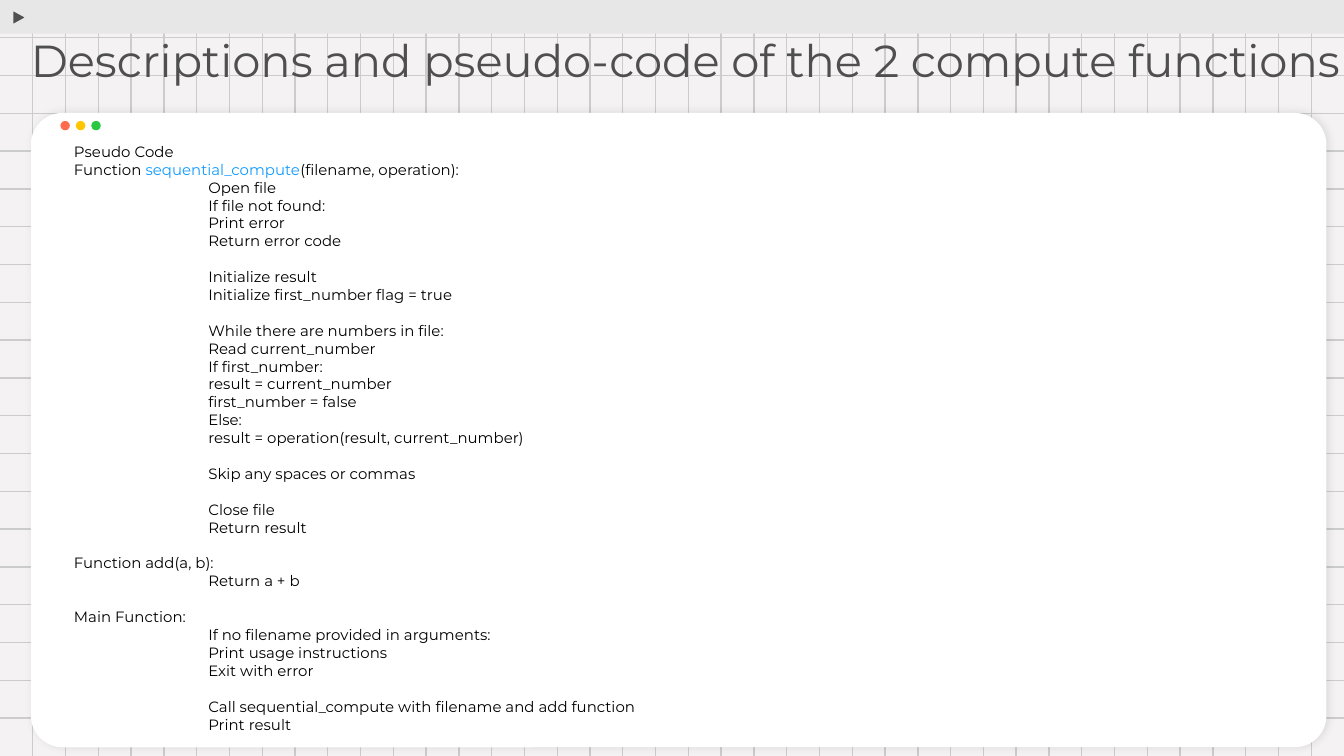
from dataclasses import dataclass

from lxml.etree import SubElement
from pptx import Presentation
from pptx.dml.color import RGBColor
from pptx.enum.shapes import MSO_CONNECTOR as Connector, MSO_SHAPE as Shape
from pptx.enum.text import MSO_ANCHOR as Anchor, MSO_AUTO_SIZE as AutoSize, PP_ALIGN as Align
from pptx.oxml.ns import qn
from pptx.util import Inches, Pt

PAPER = RGBColor(0xF4, 0xF2, 0xF2)
GRID = RGBColor(0xCC, 0xCC, 0xCC)
BAR = RGBColor(0xE7, 0xE7, 0xE7)
GRAPHITE = RGBColor(0x4F, 0x4F, 0x4F)
WHITE = RGBColor(0xFF, 0xFF, 0xFF)
BLACK = RGBColor(0x00, 0x00, 0x00)
BLUE = RGBColor(0x11, 0x9B, 0xFE)
RED = RGBColor(0xFF, 0x6B, 0x4D)
YELLOW = RGBColor(0xFF, 0xC6, 0x00)
GREEN = RGBColor(0x28, 0xC8, 0x40)

FONT = "Montserrat"
WIDTH = 10
HEIGHT = WIDTH * 9 / 16
ROWS, COLUMNS = 19, 40
ROW_STEP, COLUMN_STEP = HEIGHT / (ROWS + 1), WIDTH / (COLUMNS + 1)
TITLE = "Descriptions and pseudo-code of the 2 compute functions"
HIGHLIGHT = "sequential_compute"


@dataclass(frozen=True)
class Box:
    left: float
    top: float
    width: float
    height: float

    def lengths(self) -> tuple:
        return tuple(Inches(v) for v in (self.left, self.top, self.width, self.height))


@dataclass(frozen=True)
class Routine:
    heading: str
    steps: tuple[tuple[str, ...], ...] = ()
    gap: bool = True


ROUTINES = (
    Routine("Pseudo Code", gap=False),
    Routine("Function sequential_compute(filename, operation):", (
        ("Open file", "If file not found:", "Print error", "Return error code"),
        ("Initialize result", "Initialize first_number flag = true"),
        ("While there are numbers in file:", "Read current_number",
         "If first_number:", "result = current_number", "first_number = false",
         "Else:", "result = operation(result, current_number)"),
        ("Skip any spaces or commas",),
        ("Close file", "Return result"),
    ), gap=False),
    Routine("Function add(a, b):", (("Return a + b",),)),
    Routine("Main Function:", (
        ("If no filename provided in arguments:", "Print usage instructions",
         "Exit with error"),
        ("Call sequential_compute with filename and add function", "Print result"),
    )),
)


def draw_line(slide, x1: float, y1: float, x2: float, y2: float) -> None:
    line = slide.shapes.add_connector(
        Connector.STRAIGHT, Inches(x1), Inches(y1), Inches(x2), Inches(y2))
    line.line.color.rgb = GRID
    line.line.width = Pt(0.75)
    SubElement(line.element.spPr, qn("a:effectLst"))


def draw_shape(slide, kind: Shape, box: Box, color: RGBColor):
    shape = slide.shapes.add_shape(kind, *box.lengths())
    shape.fill.solid()
    shape.fill.fore_color.rgb = color
    shape.line.fill.background()
    shape.shadow.inherit = False
    return shape


def draw_card(slide) -> None:
    card = draw_shape(slide, Shape.ROUNDED_RECTANGLE, Box(0.23, 0.84, 9.64, 4.72), WHITE)
    card.adjustments[0] = 0.05
    effects = card.element.spPr.find(qn("a:effectLst"))
    shadow = SubElement(effects, qn("a:outerShdw"), blurRad=str(Pt(4.5)),
                        dist=str(Pt(1.5)), dir="0", algn="ctr", rotWithShape="0")
    tint = SubElement(shadow, qn("a:srgbClr"), val=str(BLACK))
    SubElement(tint, qn("a:alpha"), val="10000")


def place_text(placeholder, box: Box):
    placeholder.left, placeholder.top, placeholder.width, placeholder.height = box.lengths()
    placeholder.element.getparent().append(placeholder.element)
    frame = placeholder.text_frame
    frame.word_wrap = True
    frame.auto_size = AutoSize.NONE
    frame.vertical_anchor = Anchor.TOP
    frame.margin_left = frame.margin_right = Inches(0.1)
    frame.margin_top = frame.margin_bottom = Inches(0.1)
    return frame


def format_paragraph(paragraph, size: float, color: RGBColor, spacing: float) -> None:
    paragraph.alignment = Align.LEFT
    paragraph.line_spacing = spacing
    paragraph.space_before = paragraph.space_after = Pt(0)
    for run in paragraph.runs:
        run.font.name = FONT
        run.font.size = Pt(size)
        run.font.color.rgb = color


def write_code_line(paragraph, text: str, indented: bool, gap: bool) -> None:
    before, name, after = text.partition(HIGHLIGHT)
    highlighted = bool(name) and not indented
    for part in (before, name, after) if highlighted else (text,):
        paragraph.add_run().text = part
    format_paragraph(paragraph, 8, BLACK, 1.0)
    if highlighted:
        paragraph.runs[1].font.color.rgb = BLUE
    if gap:
        paragraph.space_before = Pt(9.6)
    properties = paragraph._p.get_or_add_pPr()
    properties.set("marL", str(Inches(1 if indented else 0)))
    properties.set("indent", "0")
    SubElement(properties, qn("a:buNone"))


def write_code(frame) -> None:
    lines = []
    for routine in ROUTINES:
        lines.append((routine.heading, False, routine.gap))
        for group_index, group in enumerate(routine.steps):
            for step_index, step in enumerate(group):
                lines.append((step, True, group_index > 0 and step_index == 0))
    for index, line in enumerate(lines):
        paragraph = frame.add_paragraph() if index else frame.paragraphs[0]
        write_code_line(paragraph, *line)


def main() -> None:
    deck = Presentation()
    deck.slide_width, deck.slide_height = Inches(WIDTH), Inches(HEIGHT)
    slide = deck.slides.add_slide(deck.slide_layouts[1])
    slide.background.fill.solid()
    slide.background.fill.fore_color.rgb = PAPER

    for row in range(ROWS, 0, -1):
        draw_line(slide, 0, row * ROW_STEP, WIDTH, row * ROW_STEP)
    for column in range(COLUMNS, 0, -1):
        draw_line(slide, column * COLUMN_STEP, 0, column * COLUMN_STEP, HEIGHT)

    draw_shape(slide, Shape.RECTANGLE, Box(0, 0, WIDTH, 0.25), BAR)
    play_mark = draw_shape(
        slide, Shape.ISOSCELES_TRIANGLE, Box(0.09, 0.08, 0.11, 0.1), GRAPHITE)
    play_mark.rotation = 90
    play_mark.line.color.rgb = BAR
    play_mark.line.width = Pt(0.75)

    draw_card(slide)
    for index, color in enumerate((RED, YELLOW, GREEN)):
        draw_shape(slide, Shape.OVAL, Box(0.45 + index * 0.23 / 2, 0.9, 0.07, 0.07), color)

    title, code = slide.shapes.title, slide.placeholders[1]
    write_code(place_text(code, Box(0.45, 0.96, 9.12, 5.18)))
    heading = place_text(title, Box(0.13, 0.19, 10.16, 1.29))
    heading.text = TITLE
    format_paragraph(heading.paragraphs[0], 24, GRAPHITE, 0.9)

    deck.save("out.pptx")


if __name__ == "__main__":
    main()
